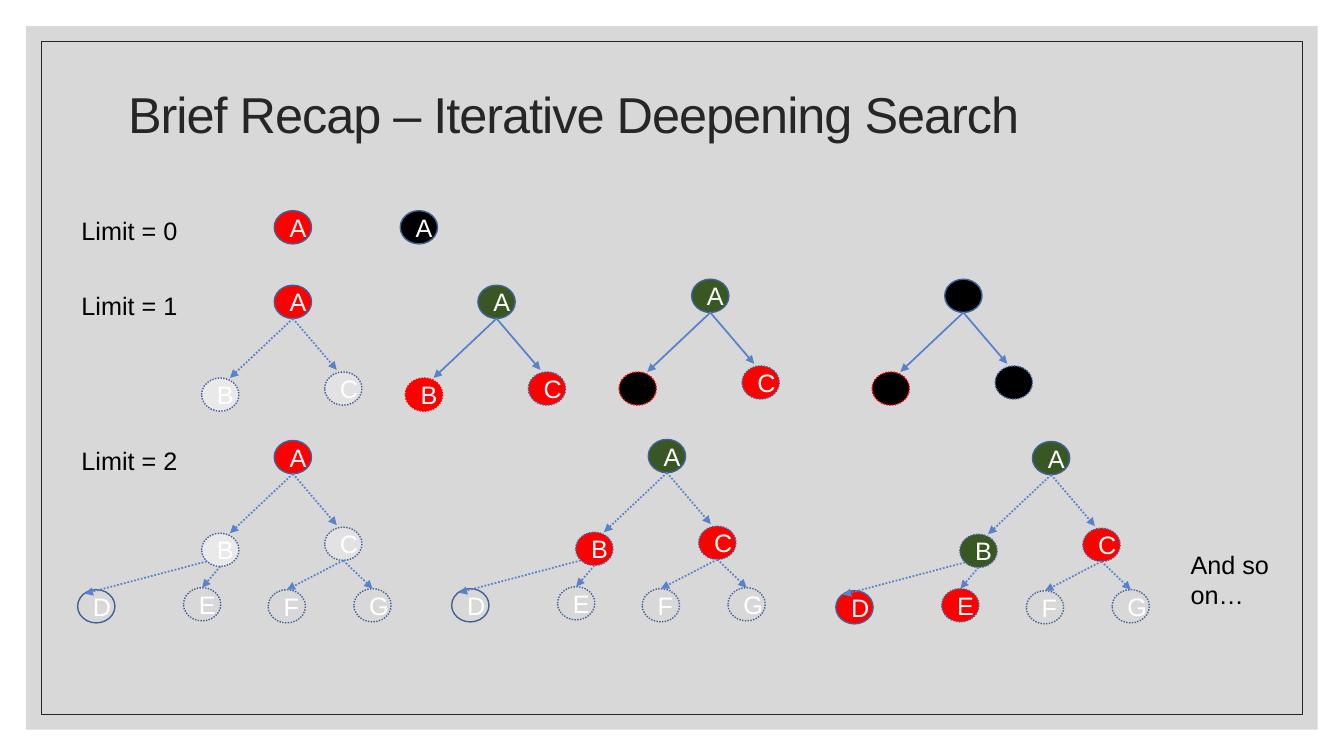
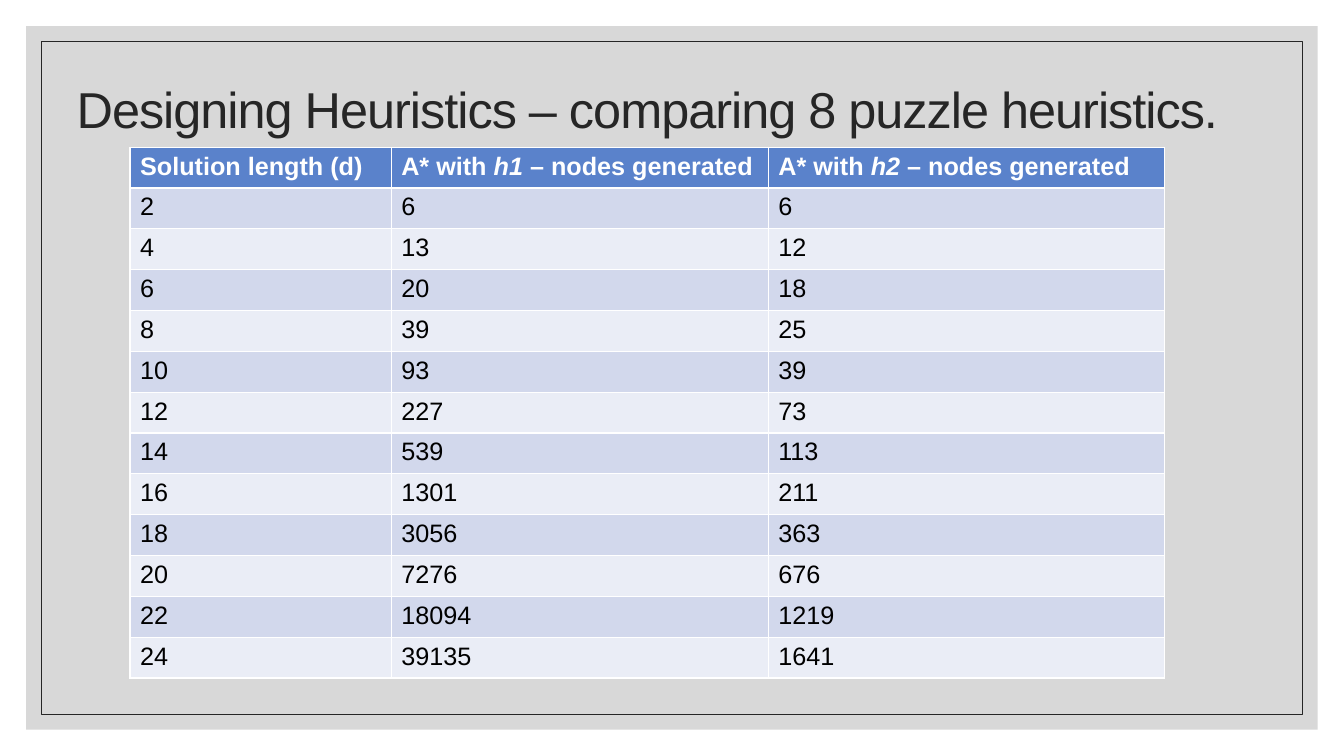
from pptx import Presentation
from pptx.dml.color import RGBColor
from pptx.enum.dml import MSO_LINE
from pptx.enum.shapes import MSO_CONNECTOR, MSO_SHAPE
from pptx.enum.text import MSO_ANCHOR, PP_ALIGN
from pptx.oxml.ns import qn
from pptx.util import Inches, Pt
from lxml.etree import SubElement

WIDTH, HEIGHT = Inches(13.33), Inches(7.5)
CELL = HEIGHT / 75
FONT = "Arial"
COLORS = {
    "paper": "BFBFBF", "ink": "262626", "black": "000000", "white": "FFFFFF",
    "outline": "436096", "arrow": "5A82CB", "red": "FF0000", "green": "385723",
    "faint": "F3F3F3", "header": "5A82CB", "odd": "D2D8EC", "even": "EAEDF6",
}

STATES = {
    "frontier": dict(fill="red"),
    "generated": dict(fill="red", outline="red"),
    "expanded": dict(fill="green"),
    "done": dict(fill="black"),
    "closed": dict(fill="black", outline="red", ink="black"),
    "cleared": dict(fill="black", labelled=False),
    "dim": dict(fill="faint", alpha=64),
    "dimmer": dict(fill="faint", alpha=39),
    "unseen": dict(),
}
NODE_W, NODE_H = 3.7, 3.3
BOTTOM, TOP = (NODE_W / 2, NODE_H), (NODE_W / 2, 0)
NODE_OFFSETS = {
    "A": (0, 0), "B": (-7.2, 9.2), "C": (5, 8.6), "D": (-19.5, 14.8),
    "E": (-9, 14.6), "F": (-0.6, 14.8), "G": (7.9, 14.7),
}
EDGES = [
    ("A", "B", BOTTOM, (2.8, 0)),
    ("A", "C", BOTTOM, (1.2, -0.2)),
    ("B", "D", (0.5, 2.8), (0.7, 0.4)),
    ("B", "E", BOTTOM, TOP),
    ("C", "F", BOTTOM, TOP),
    ("C", "G", BOTTOM, TOP),
]
LIMITS = [
    ("Limit = 0", 20.9, False, [
        (27.2, 20.9, ["frontier"]),
        (39.7, 20.9, ["done"]),
    ]),
    ("Limit = 1", 28.3, False, [
        (27.2, 28.3, ["frontier", "dim", "dimmer"]),
        (47.4, 28.3, ["expanded", "generated", "frontier"]),
        (68.6, 27.7, ["expanded", "closed", "frontier"]),
        (93.7, 27.7, ["cleared", "closed", "cleared"]),
    ]),
    ("Limit = 2", 43.7, True, [
        (27.2, 43.7, ["frontier", "dim", "dimmer"] + ["unseen"] * 4),
        (64.3, 43.6, ["expanded"] + ["frontier"] * 2 + ["unseen"] * 4),
        (102.4, 43.8, ["expanded"] * 2 + ["frontier"] * 3 + ["unseen"] * 2),
    ]),
]

HEADERS = [
    ("Solution length (d)",),
    ("A* with ", "h1", " – nodes generated"),
    ("A* with ", "h2", " – nodes generated"),
]
RESULTS = [
    (2, 6, 6), (4, 13, 12), (6, 20, 18), (8, 39, 25), (10, 93, 39),
    (12, 227, 73), (14, 539, 113), (16, 1301, 211), (18, 3056, 363),
    (20, 7276, 676), (22, 18094, 1219), (24, 39135, 1641),
]
COLUMN_WIDTHS = [25.9, 37.4, 39.3]


def grid(*cells):
    return [round(cell * CELL) for cell in cells]


def rgb(name):
    return RGBColor.from_string(COLORS[name])


def write(frame, *pieces, size=18, color="black", bold=False, italics=(),
          align=PP_ALIGN.LEFT, spacing=None, tracking=None):
    paragraph = frame.paragraphs[0]
    paragraph.alignment = align
    paragraph.line_spacing = spacing
    for piece in pieces:
        run = paragraph.add_run()
        run.text = piece
        font = run.font
        font.name, font.size, font.bold = FONT, Pt(size), bold
        font.italic = piece in italics
        font.color.rgb = rgb(color)
        if tracking is not None:
            run.font._element.set("spc", str(tracking))


def paint(shape, fill=None, alpha=None, outline=None, weight=1, dotted=False):
    shape.shadow.inherit = False
    if fill:
        shape.fill.solid()
        shape.fill.fore_color.rgb = rgb(fill)
        if alpha:
            color = shape.element.spPr.find(qn("a:solidFill"))[0]
            SubElement(color, qn("a:alpha")).set("val", str(alpha * 1000))
    else:
        shape.fill.background()
    if outline:
        shape.line.color.rgb = rgb(outline)
        shape.line.width = Pt(weight)
        if dotted:
            shape.line.dash_style = MSO_LINE.ROUND_DOT
    else:
        shape.line.fill.background()


def add_frame(prs, slide):
    bands = [
        (2.6, dict(fill="paper", alpha=60)),
        (4.1, dict(outline="ink", weight=0.5)),
    ]
    master_tree = prs.slide_master.shapes.element
    for order, (margin, look) in enumerate(bands):
        edge, = grid(margin)
        band = slide.shapes.add_shape(MSO_SHAPE.RECTANGLE, edge, edge,
                                      WIDTH - 2 * edge, HEIGHT - 2 * edge)
        paint(band, **look)
        band.element.nvSpPr.cNvPr.set("id", str(100 + order))
        master_tree.insert(2 + order, band.element)


def add_titled_slide(prs, text, left, top, width):
    slide = prs.slides.add_slide(prs.slide_layouts[5])
    title = slide.shapes.title
    title.left, title.top, title.width, title.height = grid(left, top, width, 15)
    title.text_frame.vertical_anchor = MSO_ANCHOR.MIDDLE
    write(title.text_frame, text, size=36, color="ink", spacing=0.9, tracking=-70)
    return slide


def add_label(slide, text, left, top, width, height):
    label = slide.shapes.add_textbox(*grid(left, top, width, height))
    label.text_frame.word_wrap = True
    write(label.text_frame, text)


def add_node(canvas, letter, left, top, fill=None, alpha=None,
             outline="outline", ink="white", labelled=True):
    node = canvas.add_shape(MSO_SHAPE.OVAL, *grid(left, top, NODE_W, NODE_H))
    paint(node, fill, alpha, outline, dotted=letter not in "AD")
    if labelled:
        write(node.text_frame, letter, color=ink, align=PP_ALIGN.CENTER)
    return node


def add_arrow(canvas, start, end, dotted):
    arrow = canvas.add_connector(MSO_CONNECTOR.STRAIGHT, *grid(*start, *end))
    arrow.line.color.rgb = rgb("arrow")
    arrow.line.width = Pt(1.25)
    if dotted:
        arrow.line.dash_style = MSO_LINE.ROUND_DOT
    properties = arrow.element.spPr
    SubElement(properties.find(qn("a:ln")), qn("a:tailEnd")).set("type", "triangle")
    SubElement(properties, qn("a:effectLst"))
    return arrow


def add_tree(canvas, left, top, states, dotted):
    places = {letter: (left + dx, top + dy)
              for letter, (dx, dy) in NODE_OFFSETS.items()}
    nodes = {letter: add_node(canvas, letter, *places[letter], **STATES[state])
             for letter, state in zip(places, states)}
    for parent, child, leave, arrive in EDGES:
        if child not in nodes:
            continue
        start = [a + b for a, b in zip(places[parent], leave)]
        end = [a + b for a, b in zip(places[child], arrive)]
        arrow = add_arrow(canvas, start, end, dotted)
        if arrive == TOP:
            arrow.end_connect(nodes[child], 0)


def add_search_rows(slide):
    for caption, caption_top, grouped, trees in LIMITS:
        add_label(slide, caption, 7.1, caption_top, 12.3, 4)
        for left, top, states in trees:
            canvas = slide.shapes.add_group_shape().shapes if grouped else slide.shapes
            dotted = grouped or states[0] == "frontier"
            add_tree(canvas, left, top, states, dotted)


def fill_cell(cell, pieces, fill, **text_format):
    cell.fill.solid()
    cell.fill.fore_color.rgb = rgb(fill)
    write(cell.text_frame, *pieces, **text_format)


def add_results(slide):
    table = slide.shapes.add_table(
        len(RESULTS) + 1, len(HEADERS),
        *grid(12.9, 14.6, sum(COLUMN_WIDTHS), 52.7)).table
    for column, width in zip(table.columns, COLUMN_WIDTHS):
        column.width, = grid(width)
    for index, pieces in enumerate(HEADERS):
        fill_cell(table.cell(0, index), pieces, "header",
                  color="white", bold=True, italics=("h1", "h2"))
    for row, counts in enumerate(RESULTS, start=1):
        for index, count in enumerate(counts):
            fill_cell(table.cell(row, index), [str(count)],
                      "odd" if row % 2 else "even")


def main():
    prs = Presentation()
    prs.slide_width, prs.slide_height = WIDTH, HEIGHT

    recap = add_titled_slide(
        prs, "Brief Recap – Iterative Deepening Search", 11.7, 4.1, 110)
    add_frame(prs, recap)
    add_search_rows(recap)
    add_label(recap, "And so on…", 117.1, 54, 9.9, 7.1)

    comparison = add_titled_slide(
        prs, "Designing Heuristics – comparing 8 puzzle heuristics.", 6.6, 3.6, 120.2)
    add_results(comparison)

    prs.save("out.pptx")


if __name__ == "__main__":
    main()
